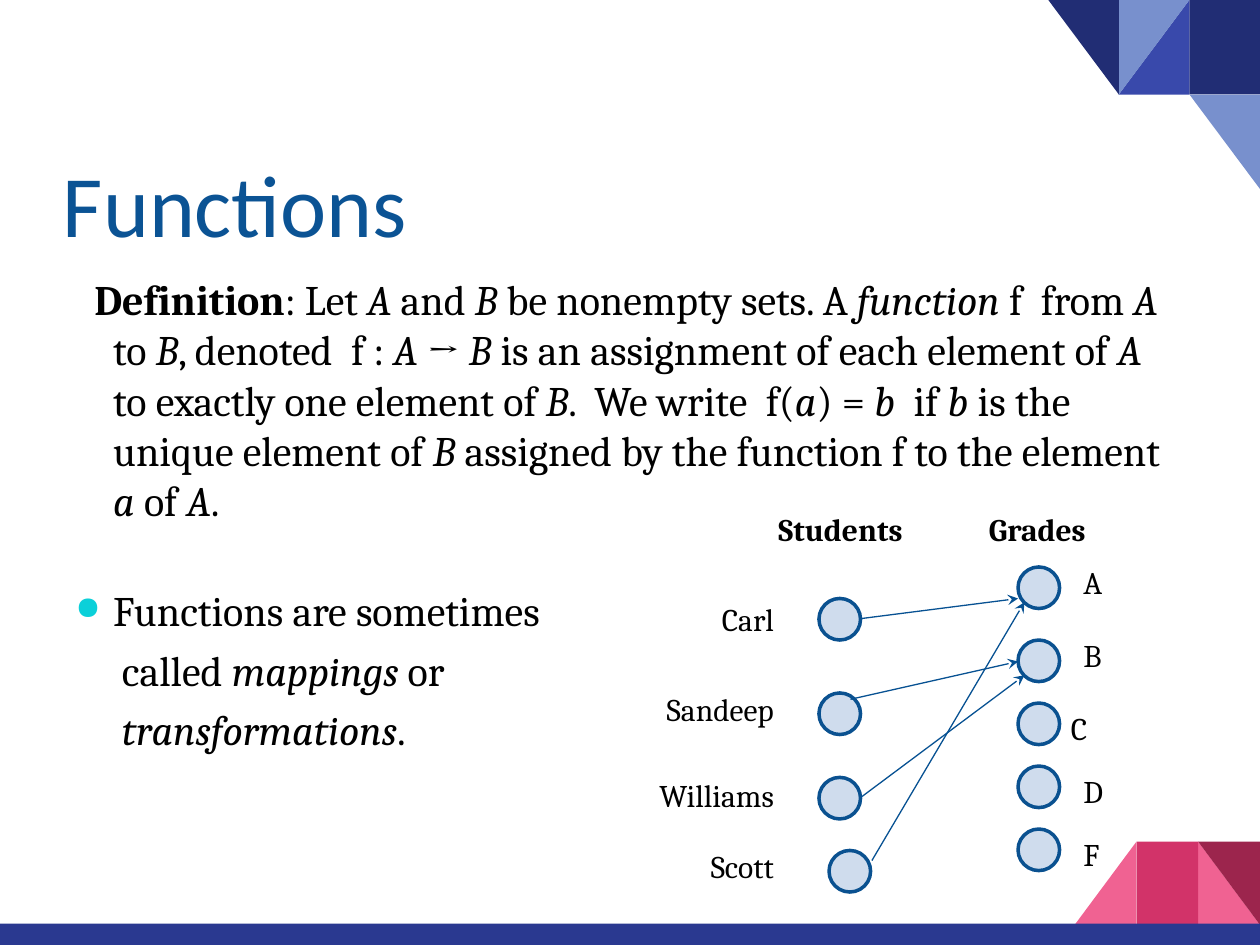
"""Build a slide that defines functions, with a map from students to grades."""
import dataclasses
import typing

import lxml.etree
import pptx
import pptx.dml.color
import pptx.enum.shapes
import pptx.enum.text
import pptx.oxml.ns
import pptx.util

Inches = pptx.util.Inches
Pt = pptx.util.Pt
Kind = pptx.enum.shapes.MSO_SHAPE
Align = pptx.enum.text.PP_ALIGN
qn = pptx.oxml.ns.qn


@dataclasses.dataclass(frozen=True)
class Theme:
    head_font: str = "Calibri"
    font: str = "Cambria"
    head_size: float = 50
    text_size: float = 24
    tag_size: float = 18
    head: str = "0B5394"
    ink: str = "000000"
    dot: str = "4F81BD"
    dot_alpha: int = 27000
    ring: str = "0A5190"
    link: str = "075192"
    bullet: str = "0BD0D9"
    bullet_size: int = 76000
    navy: str = "212D74"
    blue: str = "3949AB"
    pale: str = "7890CD"
    pink: str = "F06292"
    rose: str = "D23369"
    wine: str = "9C254D"
    bar: str = "2A3990"


class Tile(typing.NamedTuple):
    left: float
    top: float
    wide: float
    high: float
    fill: str
    kind: Kind = Kind.RECTANGLE
    turn: int = 0
    flip: bool = False


class Tag(typing.NamedTuple):
    text: str
    left: float
    top: float
    wide: float
    align: Align = Align.LEFT
    bold: bool = False


class Line(typing.NamedTuple):
    text: str
    left: float
    first: float
    gap: float
    mark: str = ""


THEME = Theme()
TRI = Kind.RIGHT_TRIANGLE
W, H = 0.56, 0.75
X = 10 - W
w, h = 0.49, 0.66
x, y = 10 - w, 6.68
TILES = [
    Tile(X, 0, W, H, THEME.navy),
    Tile(X - W, 0, W, H, THEME.blue, TRI, 0, True),
    Tile(X - W, 0, W, H, THEME.pale, TRI, 180, True),
    Tile(X - 2 * W, 0, W, H, THEME.navy, TRI, 180),
    Tile(X, H, W, H, THEME.pale, TRI, 180),
    Tile(x, y, w, h, THEME.pink, TRI),
    Tile(x - 2 * w, y, w, h, THEME.pink, TRI, 0, True),
    Tile(x - w, y, w, h, THEME.rose),
    Tile(x, y, w, h, THEME.wine, TRI, 180),
    Tile(0, 7.33, 10, 0.17, THEME.bar),
]
LINES = [
    Line("Definition**: Let *A* and *B *be nonempty sets. A *function* f  from *A* to *B*"
         ", denoted  f : *A* → *B *is an assignment of each element of *A* to exactly one "
         "element of *B*.  We write  f(*a*) = *b  *if *b* is the unique element of *B* "
         "assigned by the function f to the element *a* of *A*.", 0.3, -0.15, 0),
    Line("Functions are sometimes", 0.3, -0.3, 34, "●"),
    Line("called *mappings* or", 0.37, 0, 5.2),
    Line("*transformations*.", 0.37, 0, 5.2),
]
DOTS = [(6.5, 4.75), (6.5, 5.5), (6.5, 6.17), (6.58, 6.75),
        (8.08, 4.5), (8.08, 5.08), (8.08, 5.58), (8.08, 6.08), (8.08, 6.58)]
EDGE = 6.24
NAMES = [("Carl", 4.71), ("Sandeep", 5.43), ("Williams", 6.11), ("Scott", 6.67)]
MARKS = [("A", 8.5, 4.42), ("B", 8.5, 5), ("C", 8.4, 5.58), ("D", 8.5, 6.08), ("F", 8.5, 6.58)]
TAGS = [
    Tag("Students", 6.08, 4, 1.75, bold=True),
    Tag("Grades", 7.75, 4, 1.17, bold=True),
    *(Tag(name, EDGE - 1.75, top, 1.75, Align.RIGHT) for name, top in NAMES),
    *(Tag(mark, left, top, 0.4) for mark, left, top in MARKS),
]
LINKS = [(6.83, 4.91, 8.08, 4.75), (6.83, 6.33, 8.13, 5.36),
         (6.75, 5.55, 8.08, 5.25), (6.92, 6.83, 8.13, 4.78)]


def tint(code: str) -> pptx.dml.color.RGBColor:
    return pptx.dml.color.RGBColor.from_string(code)


def style(font, name: str, size: float, code: str) -> None:
    font.name, font.size = name, Pt(size)
    font.color.rgb = tint(code)


def add_box(slide, left: float, top: float, wide: float, high: float):
    frame = slide.shapes.add_textbox(*map(Inches, (left, top, wide, high))).text_frame
    frame.word_wrap = True
    return frame


def add_shape(slide, kind: Kind, left: float, top: float, wide: float, high: float, code: str):
    shape = slide.shapes.add_shape(kind, *map(Inches, (left, top, wide, high)))
    shape.shadow.inherit = False
    shape.fill.solid()
    shape.fill.fore_color.rgb = tint(code)
    return shape


def add_tile(slide, tile: Tile) -> None:
    shape = add_shape(slide, tile.kind, *tile[:5])
    shape.line.fill.background()
    shape.rotation = tile.turn
    if tile.flip:
        shape._element.spPr.xfrm.set("flipH", "1")


def add_dot(slide, left: float, top: float) -> None:
    shape = add_shape(slide, Kind.FLOWCHART_CONNECTOR, left, top, 0.33, 0.33, THEME.dot)
    code = shape._element.spPr.find(qn("a:solidFill"))[0]
    lxml.etree.SubElement(code, qn("a:alpha"), val=str(THEME.dot_alpha))
    shape.line.color.rgb = tint(THEME.ring)
    shape.line.width = Pt(2)


def add_title(slide, text: str) -> None:
    frame = add_box(slide, 0.5, 0.77, 9, 1.25)
    frame.margin_left = frame.margin_right = frame.margin_bottom = 0
    frame.vertical_anchor = pptx.enum.text.MSO_ANCHOR.BOTTOM
    frame.text = text
    style(frame.paragraphs[0].runs[0].font, THEME.head_font, THEME.head_size, THEME.head)


def add_line(para, line: Line) -> None:
    props = para._p.get_or_add_pPr()
    props.set("marL", str(Inches(line.left)))
    props.set("indent", str(Inches(line.first)))
    para.space_before = Pt(line.gap)
    if line.mark:
        hue = lxml.etree.SubElement(props, qn("a:buClr"))
        lxml.etree.SubElement(hue, qn("a:srgbClr"), val=THEME.bullet)
        lxml.etree.SubElement(props, qn("a:buSzPct"), val=str(THEME.bullet_size))
        lxml.etree.SubElement(props, qn("a:buChar"), char=line.mark)
    for spot, part in enumerate(line.text.split("*")):
        if part:
            run = para.add_run()
            run.text = part
            style(run.font, THEME.font, THEME.text_size, THEME.ink)
            run.font.italic = spot % 2 == 1


def add_body(slide, lines: list[Line]) -> None:
    frame = add_box(slide, 0.5, 2.12, 9, 4.8)
    frame.margin_right = Inches(0.15)
    for spot, line in enumerate(lines):
        add_line(frame.add_paragraph() if spot else frame.paragraphs[0], line)
    frame.paragraphs[0].runs[0].font.bold = True


def add_tag(slide, tag: Tag) -> None:
    frame = add_box(slide, tag.left, tag.top, tag.wide, 0.4)
    frame.text = tag.text
    para = frame.paragraphs[0]
    para.alignment = tag.align
    style(para.runs[0].font, THEME.font, THEME.tag_size, THEME.ink)
    para.runs[0].font.bold = tag.bold


def add_link(slide, ends: tuple[float, float, float, float]) -> None:
    kind = pptx.enum.shapes.MSO_CONNECTOR.STRAIGHT
    link = slide.shapes.add_connector(kind, *map(Inches, ends))
    link.line.color.rgb = tint(THEME.link)
    link.line.width = Pt(0.75)
    lxml.etree.SubElement(link.line._get_or_add_ln(), qn("a:tailEnd"), type="stealth")
    lxml.etree.SubElement(link._element.spPr, qn("a:effectLst"))


def main() -> None:
    deck = pptx.Presentation()
    deck.slide_width, deck.slide_height = Inches(10), Inches(7.5)
    slide = deck.slides.add_slide(deck.slide_layouts[6])
    for tile in TILES:
        add_tile(slide, tile)
    add_title(slide, "Functions")
    add_body(slide, LINES)
    for dot in DOTS:
        add_dot(slide, *dot)
    for tag in TAGS:
        add_tag(slide, tag)
    for ends in LINKS:
        add_link(slide, ends)
    deck.save("out.pptx")


if __name__ == "__main__":
    main()
